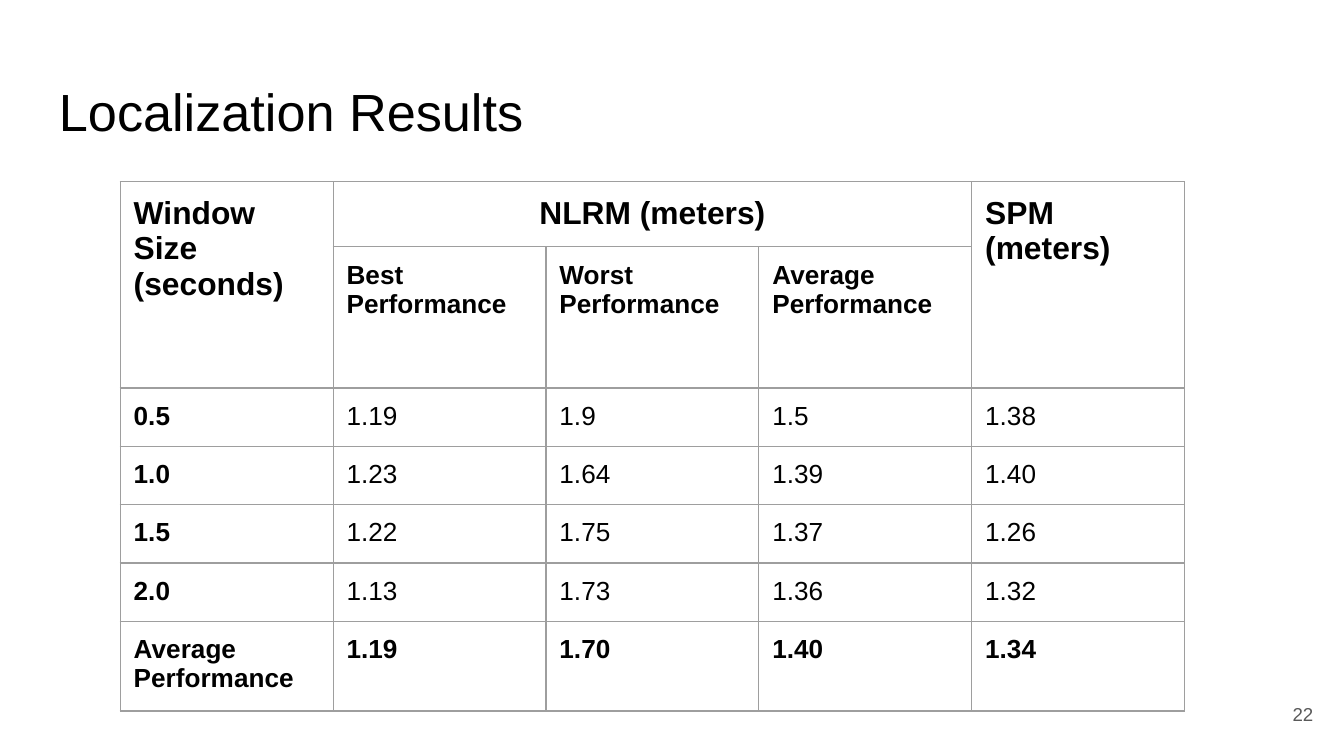
"""Build the slide with the table of localization results."""
from lxml.etree import SubElement as Sub
from pptx import Presentation
from pptx.dml.color import RGBColor
from pptx.enum.text import MSO_ANCHOR as Anchor, PP_ALIGN as Align
from pptx.oxml.ns import qn
from pptx.util import Inches, Pt

prs = Presentation()
W, H = prs.slide_width, prs.slide_height = Inches(10), Inches(5.625)
s = prs.slides.add_slide(prs.slide_layouts[6])


def box(x, y, w, h):
    """Turn percentages of the slide into lengths."""
    return int(W * x / 100), int(H * y / 100), int(W * w / 100), int(H * h / 100)


def write(tf, text, size, bold=False, align=Align.LEFT, color="000000"):
    """Fill a text frame, one paragraph for each line of text."""
    tf.word_wrap = True
    for i, line in enumerate(text.split("\n")):
        p = tf.add_paragraph() if i else tf.paragraphs[0]
        p.alignment = align
        r = p.add_run()
        r.text = line
        r.font.name, r.font.size, r.font.bold = "Arial", Pt(size), bold
        r.font.color.rgb = RGBColor.from_string(color)


labels = [
    ("Localization Results", 28, Align.LEFT, "000000", Anchor.TOP, (3.4, 8.65, 93.2, 11.13)),
    ("22", 10, Align.RIGHT, "595959", Anchor.MIDDLE, (92.7, 90.67, 6, 7.65)),
]
for text, size, align, color, anchor, place in labels:
    tf = s.shapes.add_textbox(*box(*place)).text_frame
    tf.margin_left = tf.margin_right = tf.margin_top = tf.margin_bottom = Inches(0.1)
    tf.vertical_anchor = anchor
    write(tf, text, size, align=align, color=color)

rows = [
    ["Window Size\n(seconds)", "NLRM (meters)", "", "", "SPM\n(meters)"],
    ["", "Best\nPerformance", "Worst\nPerformance", "Average\nPerformance", ""],
    ["0.5", "1.19", "1.9", "1.5", "1.38"],
    ["1.0", "1.23", "1.64", "1.39", "1.40"],
    ["1.5", "1.22", "1.75", "1.37", "1.26"],
    ["2.0", "1.13", "1.73", "1.36", "1.32"],
    ["Average Performance", "1.19", "1.70", "1.40", "1.34"],
]
n_rows, n_cols = len(rows), len(rows[0])
col_w, row_h = 15.84, 7.4
place = box(8.95, 24.05, col_w * n_cols, row_h * n_rows)
table = s.shapes.add_table(n_rows, n_cols, *place).table
table.first_row = table.horz_banding = False

for i, row in enumerate(rows):
    for j, text in enumerate(row):
        cell = table.cell(i, j)
        cell.margin_left = cell.margin_right = Inches(0.1)
        cell.margin_top = cell.margin_bottom = Inches(0.1)
        tcPr = cell._tc.get_or_add_tcPr()
        for side in ("lnL", "lnR", "lnT", "lnB"):
            ln = Sub(tcPr, qn(f"a:{side}"), w=str(Pt(0.75)))
            Sub(Sub(ln, qn("a:solidFill")), qn("a:srgbClr"), val="9E9E9E")
        cell.fill.background()
        if text:
            bold = i < 2 or i == n_rows - 1 or j == 0
            align = Align.CENTER if (i, j) == (0, 1) else Align.LEFT
            write(cell.text_frame, text, 14 if i else 17, bold, align)

for top, left, bottom, right in [(0, 0, 1, 0), (0, 1, 0, 3), (0, 4, 1, 4)]:
    table.cell(top, left).merge(table.cell(bottom, right))

prs.save("out.pptx")
